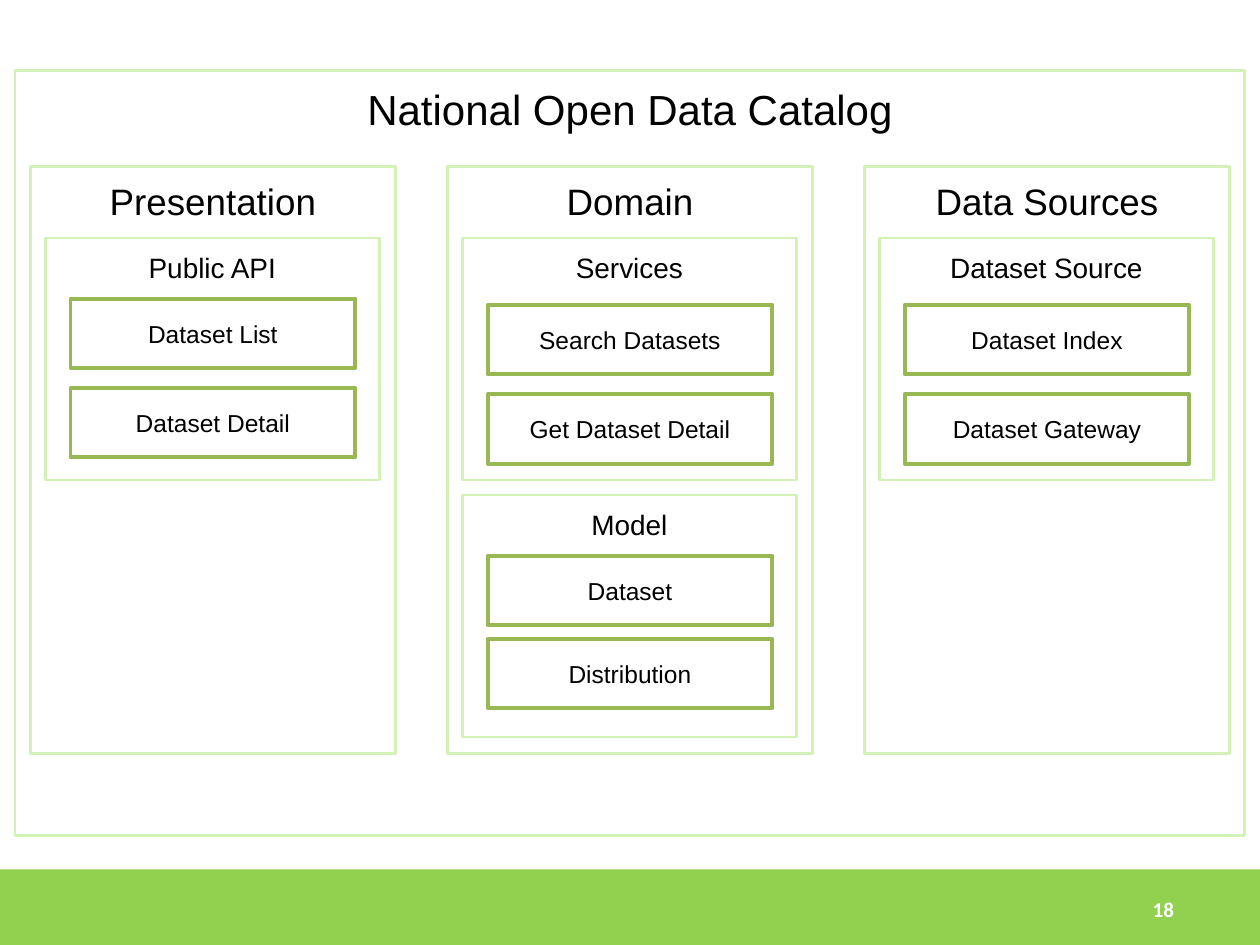
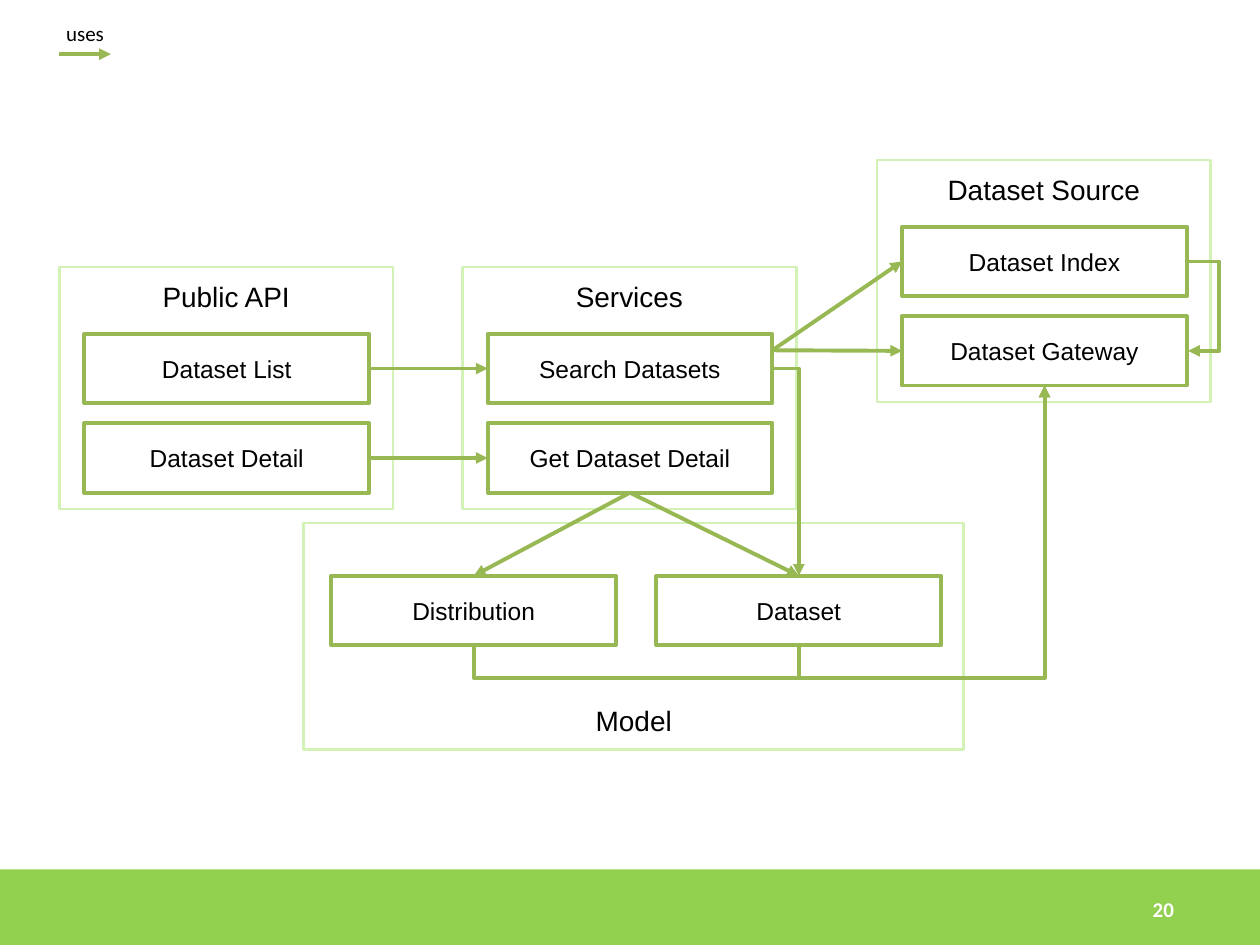
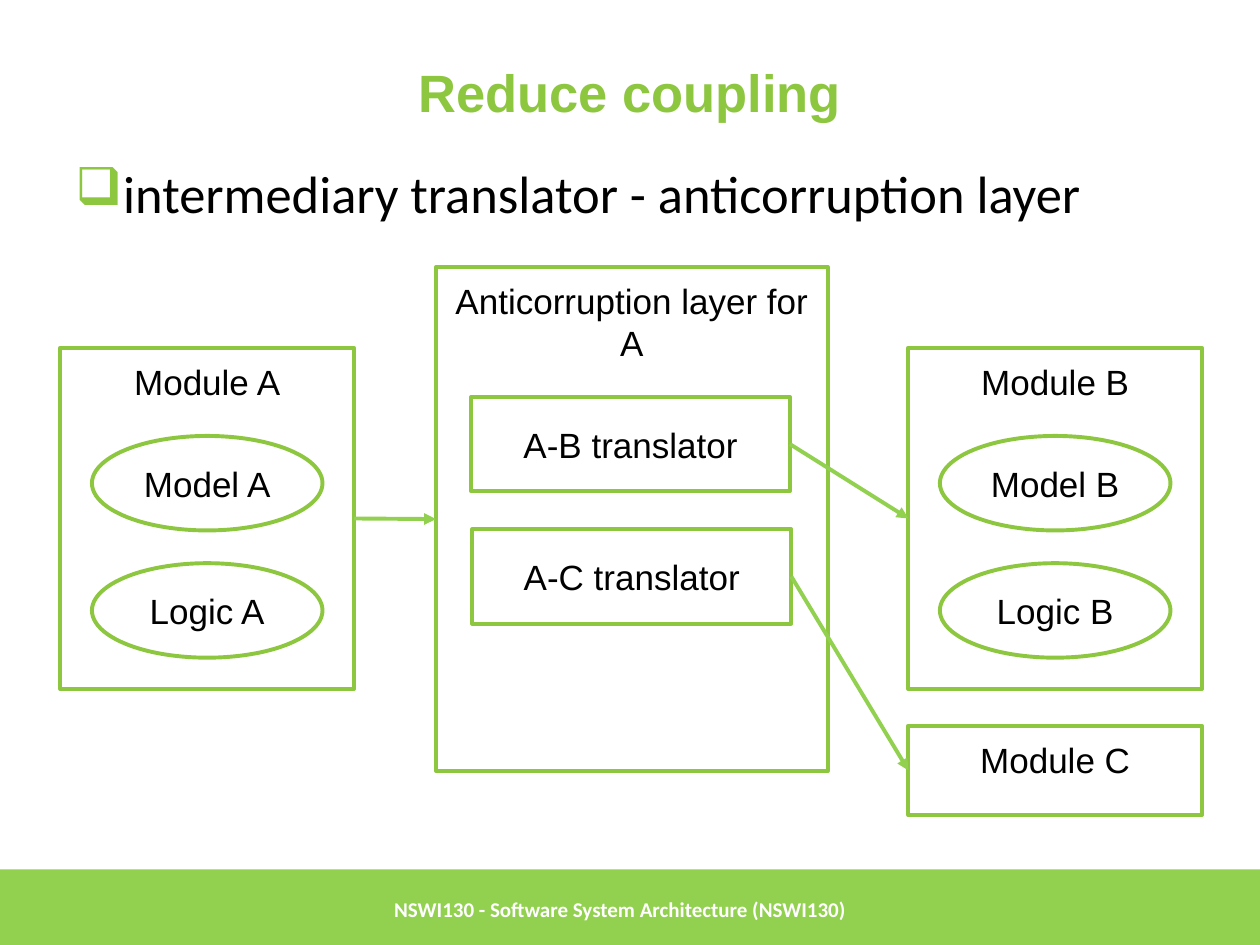
"""Builds three slides on software architecture layers and coupling."""
from dataclasses import dataclass

from lxml.etree import SubElement
from pptx import Presentation
from pptx.dml.color import RGBColor
from pptx.enum.shapes import MSO_CONNECTOR as Wire, MSO_SHAPE as Shape
from pptx.enum.text import MSO_ANCHOR as Anchor, MSO_AUTO_SIZE as Fit, PP_ALIGN as Align
from pptx.oxml.ns import qn
from pptx.util import Inches, Pt


@dataclass(frozen=True)
class Theme:
    """Colours, fonts, type sizes and line widths."""
    band: str = "92D050"
    accent: str = "8DC63F"
    frame: str = "D3F2B6"
    edge: str = "97B853"
    ink: str = "000000"
    paper: str = "FFFFFF"
    head: str = "Arial"
    body: str = "Calibri"
    title: int = 30
    system: int = 24
    layer: int = 21
    block: int = 20
    group: int = 16
    item: int = 14
    small: int = 12
    thin: float = 1.5
    thick: float = 2.25


THEME = Theme()
WIDTH, HEIGHT = 10, 7.5
BAND_TOP, BAND_HEIGHT = 6.9, 0.63
GROUP_SIZE = (2.65, 1.92)
ITEM_SIZE = (2.26, 0.55)
TOP, LEFT, BOTTOM, RIGHT = range(4)
ITEM_STYLE = dict(color=THEME.edge, weight=THEME.thick, size=THEME.item, anchor=Anchor.MIDDLE)
BLOCK_STYLE = dict(color=THEME.accent, weight=THEME.thick, size=THEME.block)

CATALOG = "National Open Data Catalog"
LAYERS = [
    ("Presentation", [("Public API", ["Dataset List", "Dataset Detail"], 0.48, 0.71)]),
    ("Domain", [("Services", ["Search Datasets", "Get Dataset Detail"], 0.53, 0.71),
                ("Model", ["Dataset", "Distribution"], 0.48, 0.66)]),
    ("Data Sources", [("Dataset Source", ["Dataset Index", "Dataset Gateway"], 0.53, 0.71)]),
]

USE_GROUPS = [
    ("Public API", ["Dataset List", "Dataset Detail"], (0.47, 2.12), {}),
    ("Services", ["Search Datasets", "Get Dataset Detail"], (3.67, 2.12), {}),
    ("Dataset Source", ["Dataset Index", "Dataset Gateway"], (6.96, 1.27), {}),
    ("Model", ["Distribution", "Dataset"], (2.41, 4.15),
     dict(extent=(5.24, 1.8), first=(0.22, 0.42), step=(2.58, 0), anchor=Anchor.BOTTOM)),
]
USES = [
    ("Dataset List", RIGHT, "Search Datasets", LEFT),
    ("Dataset Detail", RIGHT, "Get Dataset Detail", LEFT),
    ("Get Dataset Detail", BOTTOM, "Distribution", TOP),
    ("Get Dataset Detail", BOTTOM, "Dataset", TOP),
]
SEARCH_EXIT = (6.13, 2.78)
SEARCH_TARGETS = ["Dataset Index", "Dataset Gateway"]
DETOUR = 0.26

MODULES = [("Module A", 0.48, ["Model A", "Logic A"]), ("Module B", 7.21, ["Model B", "Logic B"])]
ANTICORRUPTION = "Anticorruption layer for A"
TRANSLATORS = ["A-B translator", "A-C translator"]
COUPLINGS = [
    ("Module A", ANTICORRUPTION),
    ("A-B translator", "Module B"),
    ("A-C translator", "Module C"),
]


def inches(values):
    """Convert numbers to lengths."""
    return [Inches(value) for value in values]


def rgb(color):
    """Convert a hex string to a colour."""
    return RGBColor.from_string(color)


def write(box, text, size=THEME.item, font=THEME.head, ink=THEME.ink, bold=False,
          align=Align.CENTER, anchor=Anchor.TOP, pad=0.1):
    """Set the text of a box and its format, and return the paragraph."""
    frame = box.text_frame
    frame.auto_size = Fit.NONE
    frame.word_wrap = True
    frame.vertical_anchor = anchor
    frame.margin_left = frame.margin_right = Inches(0.1)
    frame.margin_top = frame.margin_bottom = Inches(pad)
    para = frame.paragraphs[0]
    para.alignment = align
    span = para.add_run()
    span.text = text
    span.font.size, span.font.name, span.font.bold = Pt(size), font, bold
    span.font.color.rgb = rgb(ink)
    return para


def label(page, text, at, extent, **style):
    """Add a text box in the body font."""
    box = page.shapes.add_textbox(*inches(at + extent))
    return write(box, text, font=THEME.body, **style)


def footer(page, text, left, width):
    """Write white text on the band."""
    label(page, text, (left, BAND_TOP), (width, BAND_HEIGHT), size=THEME.small,
          ink=THEME.paper, bold=True, align=Align.LEFT, anchor=Anchor.MIDDLE, pad=0.05)


def outline(page, text, at, extent, color=THEME.frame, weight=THEME.thin,
            kind=Shape.RECTANGLE, **style):
    """Add an unfilled shape with text."""
    box = page.shapes.add_shape(kind, *inches(at + extent))
    box.shadow.inherit = False
    box.fill.background()
    box.line.color.rgb = rgb(color)
    box.line.width = Pt(weight)
    write(box, text, **style)
    return box


def add_group(page, name, items, at, extent=GROUP_SIZE, first=(0.2, 0.53), step=(0, 0.71),
              anchor=Anchor.TOP):
    """Add a frame with evenly spaced items and return the items by name."""
    outline(page, name, at, extent, size=THEME.group, anchor=anchor)
    boxes = {}
    for row, item in enumerate(items):
        corner = tuple(at[axis] + first[axis] + step[axis] * row for axis in (0, 1))
        boxes[item] = outline(page, item, corner, ITEM_SIZE, **ITEM_STYLE)
    return boxes


def site(box, side):
    """Return the middle of a side of a box in inches."""
    left, top = box.left.inches, box.top.inches
    across, down = [(0.5, 0), (0, 0.5), (0.5, 1), (1, 0.5)][side]
    return left + across * box.width.inches, top + down * box.height.inches


def arrow(page, start, end, color=THEME.edge, kind=Wire.STRAIGHT):
    """Add a connector with a triangle at its end."""
    wire = page.shapes.add_connector(kind, *inches(start + end))
    wire.line.color.rgb = rgb(color)
    wire.line.width = Pt(THEME.thick)
    SubElement(wire.line._get_or_add_ln(), qn("a:tailEnd"), type="triangle")
    SubElement(wire.element.spPr, qn("a:effectLst"))
    return wire


def join(page, source, out, target, into, color=THEME.edge):
    """Connect the sides of two boxes with a straight arrow."""
    wire = arrow(page, site(source, out), site(target, into), color)
    wire.begin_connect(source, out)
    wire.end_connect(target, into)


def bend(wire, share):
    """Place the middle leg of an elbow at a share of its length."""
    guides = wire.element.spPr.find(qn("a:prstGeom")).find(qn("a:avLst"))
    SubElement(guides, qn("a:gd"), name="adj1", fmla=f"val {round(share * 100000)}")


def route_below(page, start, end):
    """Add an elbow that dips below its start and rises to its end."""
    run, rise = end[0] - start[0], start[1] - end[1]
    left = (start[0] + end[0] - rise) / 2
    top = (start[1] + end[1] - run) / 2
    wire = arrow(page, (left, top), (left + rise, top + run), kind=Wire.ELBOW)
    wire.element.spPr.find(qn("a:xfrm")).set("rot", str(270 * 60000))
    bend(wire, -DETOUR / rise)


def route_corner(page, start, end):
    """Add an elbow that runs across and then down."""
    wire = arrow(page, start, end, kind=Wire.ELBOW)
    wire.element.spPr.find(qn("a:prstGeom")).set("prst", "bentConnector2")


def route_beside(page, start, end):
    """Add an elbow that loops out to the right and back."""
    sliver = 0.01
    wire = arrow(page, start, (start[0] + sliver, end[1]), kind=Wire.ELBOW)
    bend(wire, DETOUR / sliver)


def add_band(deck, page):
    """Draw the green band and hand it to the slide master."""
    band = page.shapes.add_shape(
        Shape.RECTANGLE, *inches((0, BAND_TOP, WIDTH, BAND_HEIGHT)))
    band.shadow.inherit = False
    band.fill.solid()
    band.fill.fore_color.rgb = rgb(THEME.band)
    band.line.fill.background()
    deck.slide_master.shapes.element.append(band.element)


def layers_slide(page):
    """Show the layers of the catalog with their groups."""
    outline(page, CATALOG, (0.12, 0.56), (9.76, 6.07), size=THEME.system)
    for column, (layer, groups) in enumerate(LAYERS):
        left = 0.24 + 3.31 * column
        outline(page, layer, (left, 1.32), (2.9, 4.66), size=THEME.layer)
        for row, (name, items, first, step) in enumerate(groups):
            add_group(page, name, items, (left + 0.12, 1.89 + 2.04 * row),
                      first=(0.2, first), step=(0, step))
    footer(page, "18", 9.05, 0.83)


def uses_slide(page):
    """Show which items use which."""
    label(page, "uses", (0.29, 0.06), (0.77, 0.37), size=THEME.small)
    arrow(page, (0.47, 0.43), (0.88, 0.43))
    boxes = {}
    for name, items, at, layout in USE_GROUPS:
        boxes.update(add_group(page, name, items, at, **layout))
    for source, out, target, into in USES:
        join(page, boxes[source], out, boxes[target], into)
    for target in SEARCH_TARGETS:
        wire = arrow(page, SEARCH_EXIT, site(boxes[target], LEFT))
        wire.end_connect(boxes[target], LEFT)
    gateway = boxes["Dataset Gateway"]
    for source in ("Distribution", "Dataset"):
        route_below(page, site(boxes[source], BOTTOM), site(gateway, BOTTOM))
    route_corner(page, site(boxes["Search Datasets"], RIGHT), site(boxes["Dataset"], TOP))
    route_beside(page, site(boxes["Dataset Index"], RIGHT), site(gateway, RIGHT))
    footer(page, "20", 9.05, 0.83)


def add_bullet(para, mark):
    """Give a paragraph a hanging coloured bullet."""
    para.space_before = Pt(5.6)
    props = para._p.get_or_add_pPr()
    props.set("marL", str(Inches(0.38)))
    props.set("indent", str(Inches(-0.42)))
    SubElement(SubElement(props, qn("a:buClr")), qn("a:srgbClr"), val=THEME.accent)
    SubElement(props, qn("a:buChar"), char=mark)


def coupling_slide(page):
    """Show the anticorruption layer between modules."""
    title = page.shapes.title
    title.left, title.top, title.width, title.height = inches((0.5, 0.3, 9, 0.85))
    write(title, "Reduce coupling", size=THEME.title, ink=THEME.accent, bold=True,
          anchor=Anchor.MIDDLE, pad=0.05)
    add_bullet(label(page, "intermediary translator - anticorruption layer", (0.5, 1.23),
                     (9, 1.03), size=THEME.title, align=Align.LEFT, pad=0.05), "❑")
    boxes = {}
    for name, left, insides in MODULES:
        boxes[name] = outline(page, name, (left, 2.76), (2.33, 2.71), **BLOCK_STYLE)
        for row, inside in enumerate(insides):
            outline(page, inside, (left + 0.25, 3.46 + 1.01 * row), (1.83, 0.75),
                    kind=Shape.OVAL, anchor=Anchor.MIDDLE, **BLOCK_STYLE)
    boxes["Module C"] = outline(page, "Module C", (7.21, 5.76), (2.33, 0.71), **BLOCK_STYLE)
    boxes[ANTICORRUPTION] = outline(page, ANTICORRUPTION, (3.46, 2.12), (3.11, 4), **BLOCK_STYLE)
    for row, name in enumerate(TRANSLATORS):
        boxes[name] = outline(page, name, (3.74 + 0.01 * row, 3.15 + 1.05 * row), (2.53, 0.75),
                              anchor=Anchor.MIDDLE, **BLOCK_STYLE)
    for source, target in COUPLINGS:
        join(page, boxes[source], RIGHT, boxes[target], LEFT, THEME.band)
    footer(page, "NSWI130 - Software System Architecture (NSWI130)", 3.03, 6.02)


def main():
    """Build and save the deck."""
    deck = Presentation()
    deck.slide_width, deck.slide_height = inches((WIDTH, HEIGHT))
    title_only, blank = deck.slide_layouts[5], deck.slide_layouts[6]
    pages = [deck.slides.add_slide(layout) for layout in (blank, blank, title_only)]
    add_band(deck, pages[0])
    for build, page in zip((layers_slide, uses_slide, coupling_slide), pages):
        build(page)
    deck.save("out.pptx")


if __name__ == "__main__":
    main()
